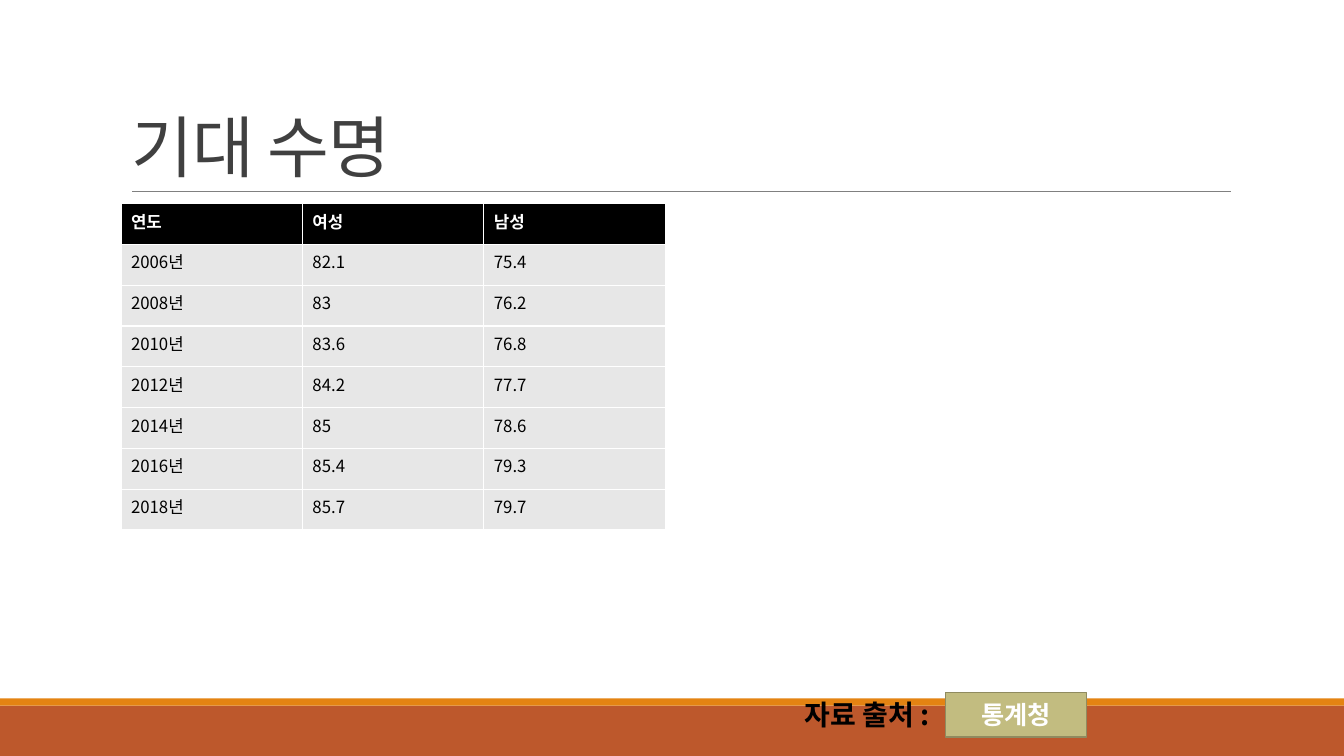
from dataclasses import dataclass

from lxml.etree import SubElement
from pptx import Presentation
from pptx.dml.color import RGBColor as Color
from pptx.enum.shapes import MSO_CONNECTOR as Connector, MSO_SHAPE as Shape
from pptx.enum.text import MSO_ANCHOR as Anchor, MSO_AUTO_SIZE as AutoSize, PP_ALIGN as Align
from pptx.oxml.ns import qn
from pptx.util import Inches, Pt

UNIT = Inches(0.1)
COLUMNS, ROWS = 133.33, 75


@dataclass(frozen=True)
class Theme:
    font: str = "Noto Sans CJK KR"
    title: str = "404040"
    rule: str = "808080"
    band: str = "BD582C"
    stripe: str = "E48312"
    dark: str = "000000"
    light: str = "FFFFFF"
    cell: str = "E7E7E7"
    badge: str = "C2BC80"
    badge_edge: str = "908B5F"
    title_size: int = 48
    table_size: int = 12
    label_size: int = 20
    badge_size: int = 18


@dataclass(frozen=True)
class Box:
    left: float
    top: float
    width: float
    height: float

    def inner(self, left, top, width, height):
        return Box(self.left + left, self.top + top, width, height)

    def lengths(self):
        return [round(n * UNIT) for n in (self.left, self.top, self.width, self.height)]


THEME = Theme()
LIFE_EXPECTANCY = [
    ("연도", "여성", "남성"),
    ("2006년", "82.1", "75.4"),
    ("2008년", "83", "76.2"),
    ("2010년", "83.6", "76.8"),
    ("2012년", "84.2", "77.7"),
    ("2014년", "85", "78.6"),
    ("2016년", "85.4", "79.3"),
    ("2018년", "85.7", "79.7"),
]


def write(frame, text, size, color, bold=False, align=Align.LEFT):
    frame.text = text
    paragraph = frame.paragraphs[0]
    paragraph.alignment = align
    font = paragraph.font
    font.size, font.bold, font.name = Pt(size), bold, THEME.font
    font.color.rgb = Color.from_string(color)
    properties = paragraph._p.pPr.find(qn("a:defRPr"))
    SubElement(properties, qn("a:ea"), typeface=THEME.font)
    return paragraph, properties


def add_block(slide, box, fill, edge=None):
    block = slide.shapes.add_shape(Shape.RECTANGLE, *box.lengths())
    block.shadow.inherit = False
    block.fill.solid()
    block.fill.fore_color.rgb = Color.from_string(fill)
    if edge:
        block.line.color.rgb = Color.from_string(edge)
        block.line.width = Pt(1.25)
    else:
        block.line.fill.background()
    return block


def add_heading(slide, box, text):
    title = slide.shapes.title
    title.left, title.top, title.width, title.height = box.lengths()
    frame = title.text_frame
    frame.auto_size = AutoSize.NONE
    frame.vertical_anchor = Anchor.BOTTOM
    paragraph, properties = write(frame, text, THEME.title_size, THEME.title)
    paragraph.line_spacing = 0.85
    properties.set("spc", "-50")

    left, top, width, _ = box.inner(1.1, box.height, box.width - 1, 0).lengths()
    rule = slide.shapes.add_connector(Connector.STRAIGHT, left, top, left + width, top)
    rule.line.color.rgb = Color.from_string(THEME.rule)
    rule.line.width = Pt(0.5)
    SubElement(rule._element.spPr, qn("a:effectLst"))


def add_life_table(slide, box, records):
    table = slide.shapes.add_table(len(records), len(records[0]), *box.lengths()).table
    table.horz_banding = False
    for row, record in enumerate(records):
        header = row == 0
        for column, value in enumerate(record):
            cell = table.cell(row, column)
            cell.fill.solid()
            cell.fill.fore_color.rgb = Color.from_string(THEME.dark if header else THEME.cell)
            write(cell.text_frame, value, THEME.table_size,
                  THEME.light if header else THEME.dark, header)


def add_footer(slide, box, label, source):
    stripe = 0.7
    add_block(slide, box.inner(0, stripe, box.width, box.height - stripe), THEME.band)
    add_block(slide, box.inner(0, 0, box.width, stripe), THEME.stripe)

    caption = slide.shapes.add_textbox(*box.inner(78.5, -0.6, 15, 4.4).lengths())
    caption.text_frame.word_wrap = False
    write(caption.text_frame, label, THEME.label_size, THEME.dark, True, Align.CENTER)

    badge = add_block(slide, box.inner(93.8, -0.6, 14, 4.4), THEME.badge, THEME.badge_edge)
    badge.text_frame.vertical_anchor = Anchor.MIDDLE
    write(badge.text_frame, source, THEME.badge_size, THEME.light, True, Align.CENTER)


def main():
    deck = Presentation()
    deck.slide_width, deck.slide_height = round(COLUMNS * UNIT), ROWS * UNIT
    slide = deck.slides.add_slide(deck.slide_layouts[5])
    page = Box(0, 0, COLUMNS, ROWS)
    add_footer(slide, page.inner(0, 69.3, COLUMNS, 5.7), "자료 출처 :", "통계청")
    add_heading(slide, page.inner(12, 3.1, 110, 15.9), "기대 수명")
    add_life_table(slide, page.inner(12, 20.2, 54, 32.4), LIFE_EXPECTANCY)
    deck.save("out.pptx")


if __name__ == "__main__":
    main()
